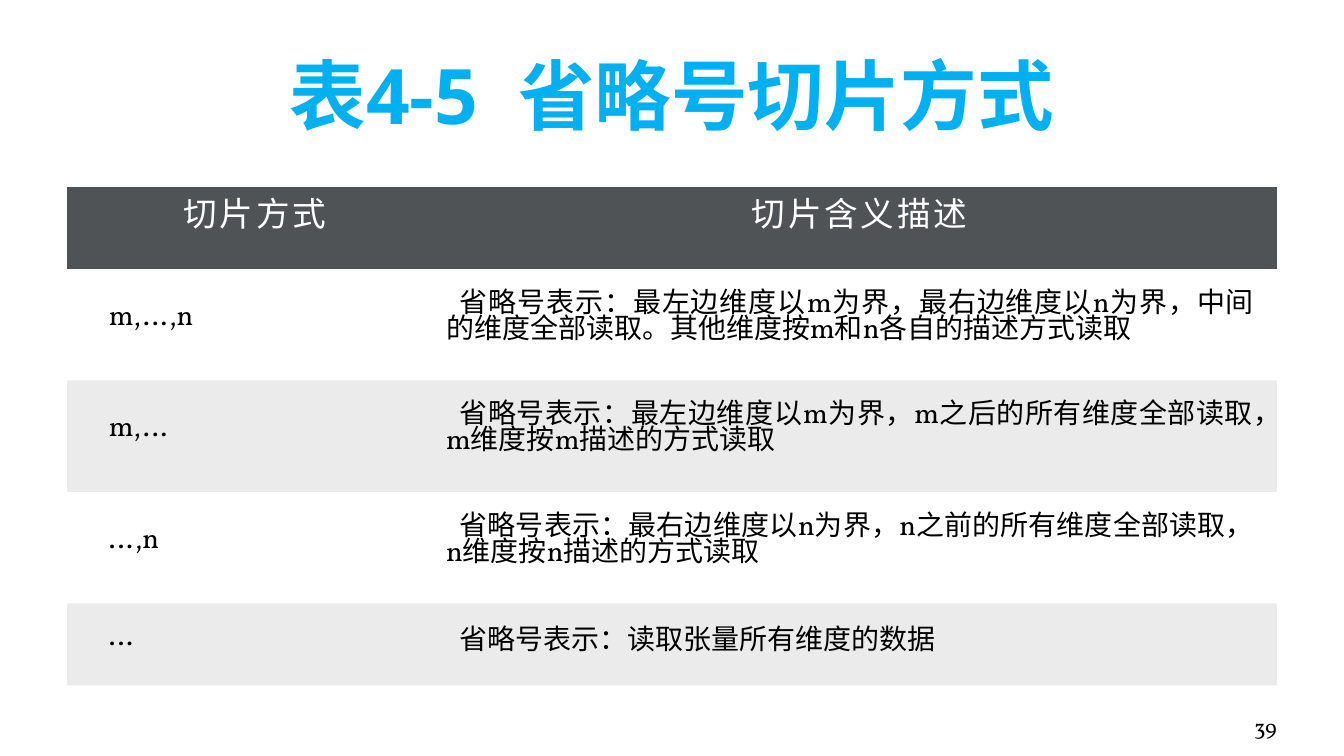
import pptx
import pptx.dml.color
import pptx.enum.text
import pptx.oxml.ns
import pptx.util
from lxml import etree

Inches, Pt = pptx.util.Inches, pptx.util.Pt
ALIGN, ANCHOR = pptx.enum.text.PP_ALIGN, pptx.enum.text.MSO_ANCHOR
qn = pptx.oxml.ns.qn

TITLE = "表4-5  省略号切片方式"
PAGE_NUMBER = "39"
HEADINGS = ("切片方式", "切片含义描述")
SLICINGS = [
    ("m,…,n", "省略号表示：最左边维度以m为界，最右边维度以n为界，中间的维度全部读取。其他维度按m和n各自的描述方式读取"),
    ("m,…", "省略号表示：最左边维度以m为界，m之后的所有维度全部读取，m维度按m描述的方式读取"),
    ("…,n", "省略号表示：最右边维度以n为界，n之前的所有维度全部读取，n维度按n描述的方式读取"),
    ("…", "省略号表示：读取张量所有维度的数据"),
]

COLORS = {"title": "00B0F0", "header": "505356", "header_text": "FFFFFF",
          "text": "000000", "band": "000000"}
TITLE_FONT, BODY_FONT = "Open Sans", "Vollkorn"
NO_GRID_STYLE = "{2D5ABB26-0587-4C30-8999-92F81FD0307C}"
BAND_OPACITY = 8  # percent

WIDTH = 10
HEIGHT = WIDTH * 9 / 16
MARGIN = 0.5
CONTENT_WIDTH = WIDTH - 2 * MARGIN
COLUMN_WIDTHS = (2.65, 6.35)
FIRST_LINE_INDENTS = (0.14, 0.1)
TABLE_TOP, SHORT_ROW, TALL_ROW = 1.39, 0.61, 0.83
CELL_INSET = 0.17


def rgb(name):
    return pptx.dml.color.RGBColor.from_string(COLORS[name])


def set_font(paragraph, name, size, color):
    paragraph.font.name = name
    paragraph.font.size = Pt(size)
    paragraph.font.color.rgb = rgb(color)


def set_insets(frame, horizontal, vertical):
    frame.margin_left = frame.margin_right = Inches(horizontal)
    frame.margin_top = frame.margin_bottom = Inches(vertical)


def fill_cell(cell, row):
    """Header is solid, every second body row is a translucent band."""
    if row % 2:
        cell.fill.background()
        return
    cell.fill.solid()
    cell.fill.fore_color.rgb = rgb("band" if row else "header")
    if row:
        shade = next(cell._tc.tcPr.iter(qn("a:srgbClr")))
        etree.SubElement(shade, qn("a:alpha"), val=str(BAND_OPACITY * 1000))


def write_cell(cell, text, row, column):
    header = row == 0
    set_insets(cell, CELL_INSET, CELL_INSET)
    cell.vertical_anchor = ANCHOR.TOP if header else ANCHOR.MIDDLE
    paragraph = cell.text_frame.paragraphs[0]
    run = paragraph.add_run()
    run.text = text
    paragraph.alignment = ALIGN.CENTER if header else ALIGN.JUSTIFY
    paragraph.line_spacing = Pt(14)
    paragraph.space_after = Pt(1.5)
    indent = FIRST_LINE_INDENTS[0 if header else column]
    properties = paragraph._p.get_or_add_pPr()
    properties.set("marL", "0")
    properties.set("indent", str(Inches(indent)))
    set_font(paragraph, BODY_FONT, 18 if header else 15,
             "header_text" if header else "text")
    run_properties = run._r.get_or_add_rPr()
    run_properties.set("kern", "1200")
    run_properties.set("spc", "150" if header else "0")


def add_title(slide):
    title = slide.shapes.title
    title.left, title.top = Inches(MARGIN), Inches(0.23)
    title.width, title.height = Inches(CONTENT_WIDTH), Inches(0.94)
    frame = title.text_frame
    frame.text = TITLE
    frame.vertical_anchor = ANCHOR.MIDDLE
    paragraph = frame.paragraphs[0]
    paragraph.alignment = ALIGN.CENTER
    set_font(paragraph, TITLE_FONT, 41, "title")
    paragraph.font.bold = True


def add_page_number(slide):
    width = 0.83
    box = slide.shapes.add_textbox(Inches(WIDTH - MARGIN - width), Inches(5.26),
                                   Inches(width), Inches(0.3))
    frame = box.text_frame
    frame.word_wrap = True
    frame.vertical_anchor = ANCHOR.BOTTOM
    set_insets(frame, 0, 0.05)
    frame.text = PAGE_NUMBER
    paragraph = frame.paragraphs[0]
    paragraph.alignment = ALIGN.RIGHT
    paragraph.line_spacing = 0.9
    paragraph.space_after = Pt(6)
    set_font(paragraph, BODY_FONT, 12, "text")


def add_slicing_table(slide):
    rows = [HEADINGS] + SLICINGS
    heights = [SHORT_ROW] + [TALL_ROW] * (len(SLICINGS) - 1) + [SHORT_ROW]
    table = slide.shapes.add_table(
        len(rows), len(HEADINGS), Inches(MARGIN), Inches(TABLE_TOP),
        Inches(CONTENT_WIDTH), Inches(sum(heights))).table
    table.first_row = table.horz_banding = False
    next(table._tbl.iter(qn("a:tableStyleId"))).text = NO_GRID_STYLE
    for column, width in zip(table.columns, COLUMN_WIDTHS):
        column.width = Inches(width)
    for r, (texts, height) in enumerate(zip(rows, heights)):
        table.rows[r].height = Inches(height)
        for c, text in enumerate(texts):
            fill_cell(table.cell(r, c), r)
            write_cell(table.cell(r, c), text, r, c)


def main():
    deck = pptx.Presentation()
    deck.slide_width, deck.slide_height = Inches(WIDTH), Inches(HEIGHT)
    slide = deck.slides.add_slide(deck.slide_layouts[5])
    add_title(slide)
    add_page_number(slide)
    add_slicing_table(slide)
    deck.save("out.pptx")


if __name__ == "__main__":
    main()
